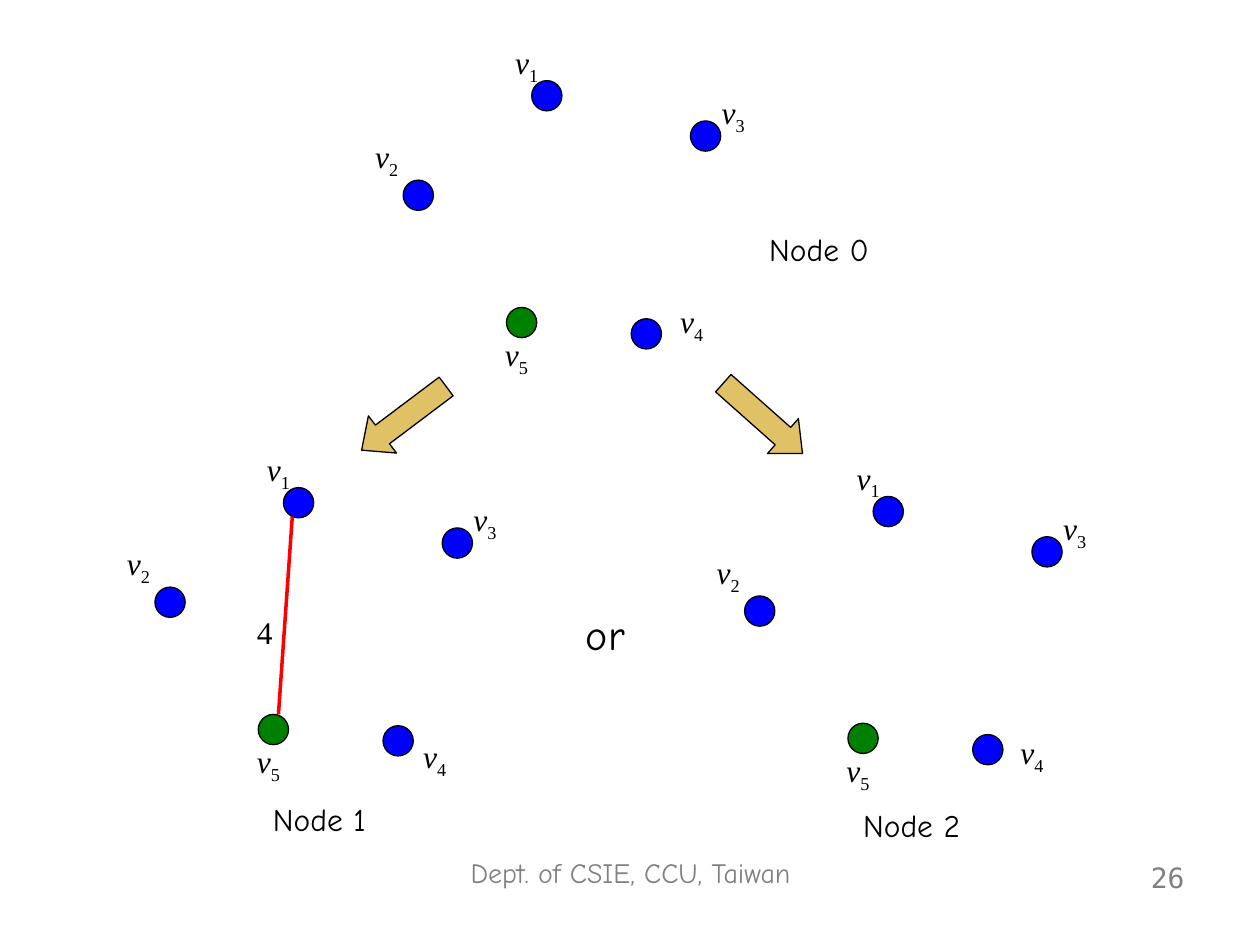
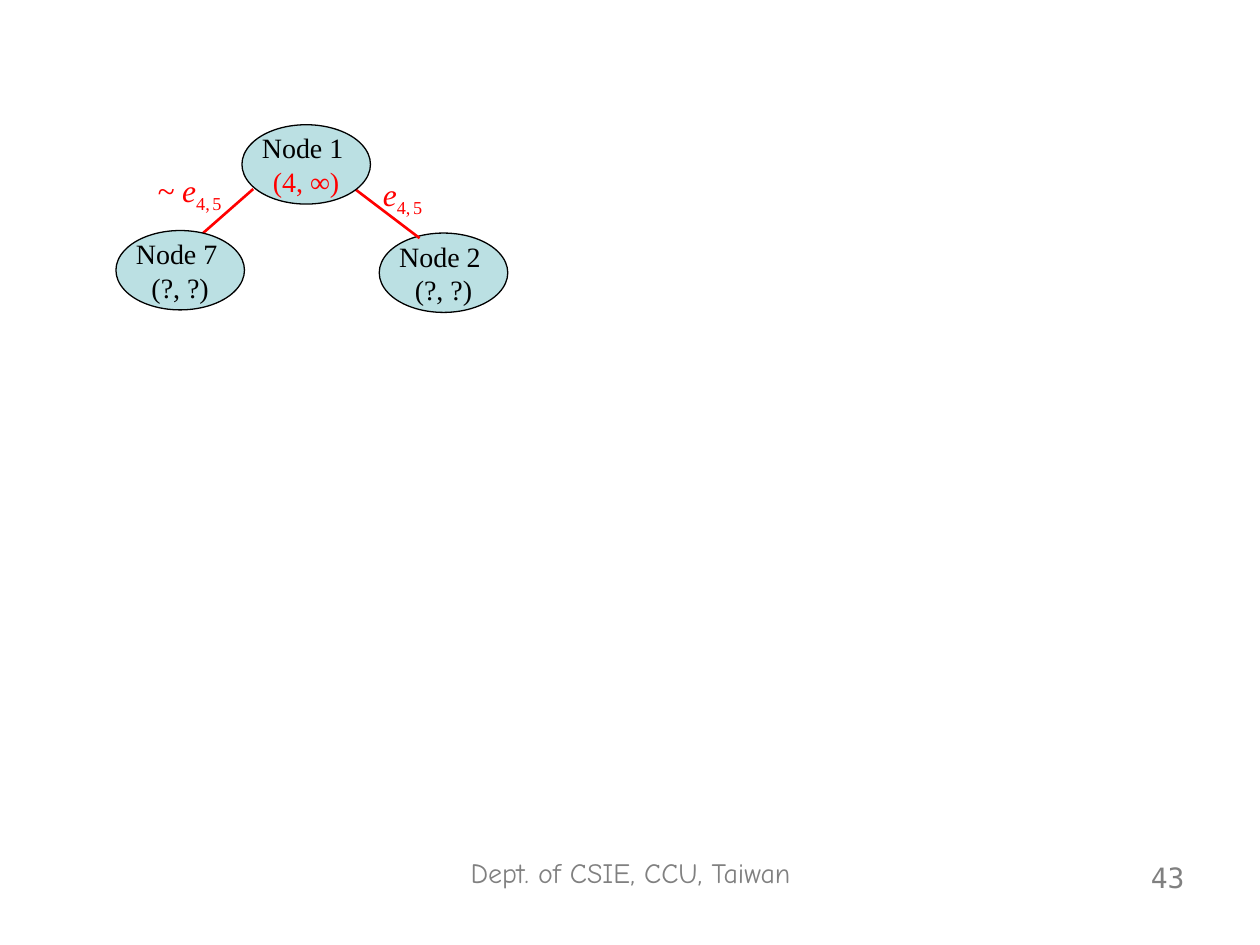
from lxml import etree
from pptx import Presentation
from pptx import util as u
from pptx.dml.color import RGBColor
from pptx.enum import shapes, text
from pptx.oxml.ns import qn

BLACK = RGBColor(0x00, 0x00, 0x00)
RED = RGBColor(0xFF, 0x00, 0x00)
BLUE = RGBColor(0x00, 0x00, 0xFF)
GREEN = RGBColor(0x00, 0x80, 0x00)
GOLD = RGBColor(0xCC, 0x99, 0x00)
PALE_TEAL = RGBColor(0xBB, 0xE0, 0xE3)
GREY = RGBColor(0x80, 0x80, 0x80)

HAND = "Comic Neue"
SERIF = "Times New Roman"
MONO = "DejaVu Sans Mono"
LEFT, CENTER, RIGHT = (text.PP_ALIGN.LEFT, text.PP_ALIGN.CENTER,
                       text.PP_ALIGN.RIGHT)

PX = 9144
DOT = 24
LABEL = (47, 44)
NODE = (102, 63)

FOOTER = "Dept. of CSIE, CCU, Taiwan"
FOOTER_BOX = (319, 674, 363, 52)
NUMBER_BOX = (717, 678, 233, 52)

VERTICES = [
    ("1", (0, 0), (-23, -35), BLUE),
    ("2", (-102, 79), (-134, 40), BLUE),
    ("3", (126, 32), (141, 5), BLUE),
    ("4", (79, 189), None, BLUE),
    ("5", (-20, 180), (-31, 197), GREEN),
]
CLUSTERS = [
    {"name": "Node 1", "origin": (225, 387), "v4_label": (101, 193),
     "caption": (128, 630, 251, 40),
     "edge": ((232, 410), (221, 567)), "cost": ("4", (194, 482, 47, 40))},
    {"name": "Node 2", "origin": (693, 394), "v4_label": (107, 183),
     "caption": (598, 635, 251, 40)},
    {"name": "Node 0", "origin": (422, 64), "v4_label": (108, 171),
     "caption": (559, 178, 182, 40)},
]
ARROWS = [((302, 290, 37, 84), 53), ((587, 290, 37, 84), 311.6)]
OR_BOX = (451, 478, 59, 50)

TREE_NODES = [
    ("Node 2 ", "(?, ?)", (301, 185), BLACK),
    ("Node 7 ", "(?, ?)", (92, 183), BLACK),
    ("Node 1 ", "(4, ∞)", (192, 99), RED),
]
TREE_EDGES = [((279, 148), (333, 189)), ((201, 150), (160, 186))]
EDGE_INDEX = [("4,", "sub"), (" ", "thin"), ("5", "sub")]
EDGE_LABELS = [("e", (294, 134, 59, 44)), ("~ e", (115, 131, 89, 44))]


def px(*lengths):
    return [u.Emu(length * PX) for length in lengths]


def write(para, spans, font, size, color, align):
    para.alignment = align
    para.font.name = font
    para.font.size = u.Pt(size)
    para.font.color.rgb = color
    for words, style in spans:
        span = para.add_run()
        span.text = words
        if style == "italic":
            span.font.italic = True
        if style in ("sub", "thin"):
            span._r.get_or_add_rPr().set("baseline", "-25000")
        if style == "thin":
            span.font.size = u.Pt(10)


def add_text(parent, spans, place, font=SERIF, size=18, color=BLACK,
             align=LEFT):
    if isinstance(spans, str):
        spans = [(spans, None)]
    box = parent.add_textbox(*px(*place))
    box.text_frame.word_wrap = True
    write(box.text_frame.paragraphs[0], spans, font, size, color, align)


def add_outlined(parent, preset, place, fill):
    shape = parent.add_shape(preset, *px(*place))
    shape.shadow.inherit = False
    shape.fill.solid()
    shape.fill.fore_color.rgb = fill
    shape.line.color.rgb = BLACK
    shape.line.width = u.Pt(0.75)
    return shape


def add_edge(parent, start, end, width):
    edge = parent.add_connector(shapes.MSO_CONNECTOR.STRAIGHT,
                                *px(*start, *end))
    edge.line.color.rgb = RED
    edge.line.width = u.Pt(width)
    etree.SubElement(edge._element.spPr, qn("a:effectLst"))


def add_cluster(page, cluster):
    group = page.shapes.add_group_shape().shapes
    left, top = cluster["origin"]
    for index, (x, y), label, color in VERTICES:
        label_x, label_y = label or cluster["v4_label"]
        add_outlined(group, shapes.MSO_SHAPE.OVAL,
                     (left + x, top + y, DOT, DOT), color)
        add_text(group, [("v", "italic"), (index, "sub")],
                 (left + label_x, top + label_y, *LABEL))
    if "edge" in cluster:
        add_edge(group, *cluster["edge"], 2)
        add_text(group, *cluster["cost"])
    add_text(group, cluster["name"], cluster["caption"], HAND, align=CENTER)


def add_block_arrow(page, place, angle):
    arrow = add_outlined(page.shapes, shapes.MSO_SHAPE.DOWN_ARROW, place, GOLD)
    arrow.rotation = angle
    arrow.adjustments[0] = 0.5
    arrow.adjustments[1] = 0.56
    tint = arrow._element.spPr.find(qn("a:solidFill"))[0]
    etree.SubElement(tint, qn("a:alpha"), val="60000")


def add_tree_node(page, name, bounds, corner, bounds_color):
    node = add_outlined(page.shapes, shapes.MSO_SHAPE.OVAL, (*corner, *NODE),
                        PALE_TEAL)
    frame = node.text_frame
    frame.word_wrap = False
    frame.vertical_anchor = text.MSO_ANCHOR.MIDDLE
    write(frame.paragraphs[0], [(name, None)], SERIF, 16, BLACK, CENTER)
    write(frame.add_paragraph(), [(bounds, None)], SERIF, 16, bounds_color,
          CENTER)


def add_footer(page, number):
    add_text(page.shapes, FOOTER, FOOTER_BOX, HAND, 16, GREY, CENTER)
    add_text(page.shapes, number, NUMBER_BOX, MONO, 16, GREY, RIGHT)


def build_branching(page):
    add_text(page.shapes, "or ", OR_BOX, HAND, 24, align=CENTER)
    for cluster in CLUSTERS:
        add_cluster(page, cluster)
    for place, angle in ARROWS:
        add_block_arrow(page, place, angle)


def build_tree(page):
    add_tree_node(page, *TREE_NODES[0])
    for start, end in TREE_EDGES:
        add_edge(page.shapes, start, end, 1.5)
    for name, place in EDGE_LABELS:
        add_text(page.shapes, [(name, "italic"), *EDGE_INDEX], place,
                 color=RED)
    for node in TREE_NODES[1:]:
        add_tree_node(page, *node)


def main():
    deck = Presentation()
    deck.slide_width, deck.slide_height = px(1000, 750)
    for build, number in [(build_branching, "26"), (build_tree, "43")]:
        page = deck.slides.add_slide(deck.slide_layouts[6])
        build(page)
        add_footer(page, number)
    deck.save("out.pptx")


if __name__ == "__main__":
    main()
